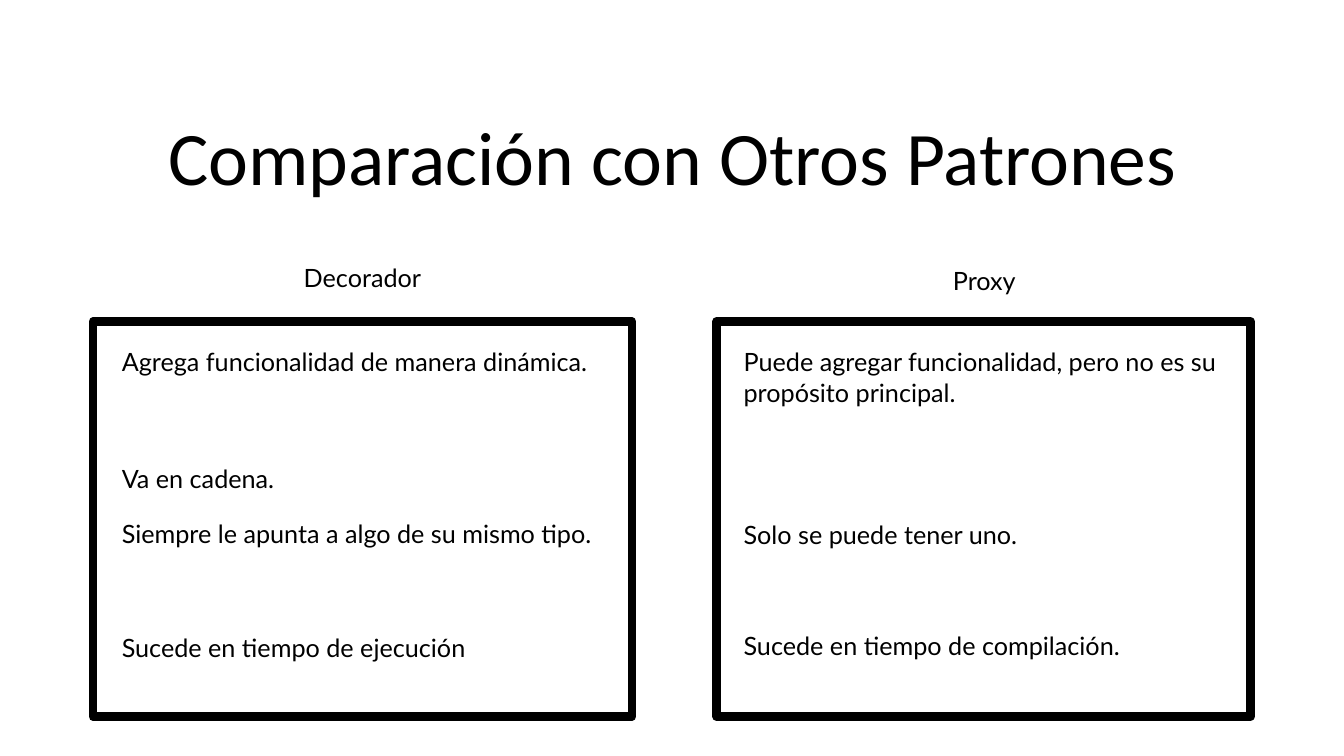
from pptx import Presentation
from pptx.dml.color import RGBColor
from pptx.enum import shapes, text
from pptx.util import Cm, Pt

COLORS = {"ink": "000000", "paper": "FFFFFF"}
FRAME_TOP, FRAME_HEIGHT = 8.1, 9.96
HEADING_WIDTH, HEADING_HEIGHT = 6.43, 1.02
POINT_WIDTH = 12.62

PATTERNS = [
    {
        "heading": ("Decorador", 5.92, 6.48),
        "frame": (2.34, 13.59),
        "points_left": 2.82,
        "points": [
            ("Agrega funcionalidad de manera dinámica.", 8.61, 2.57),
            ("Va en cadena.", 11.56, 1.02),
            ("Siempre le apunta a algo de su mismo tipo.", 12.93, 2.57),
            ("Sucede en tiempo de ejecución", 15.82, 1.8),
        ],
    },
    {
        "heading": ("Proxy", 21.59, 6.55),
        "frame": (18.06, 13.46),
        "points_left": 18.49,
        "points": [
            ("Puede agregar funcionalidad, pero no es su propósito principal.", 8.61, 3.33),
            ("Solo se puede tener uno.", 12.95, 1.8),
            ("Sucede en tiempo de compilación.", 15.75, 1.8),
        ],
    },
]


def color(key):
    return RGBColor.from_string(COLORS[key])


def add_text(slide, wording, left, top, width, height, size=18, font="Lato",
             align=text.PP_ALIGN.LEFT, anchor=text.MSO_ANCHOR.TOP, spacing=1.0):
    label = slide.shapes.add_textbox(Cm(left), Cm(top), Cm(width), Cm(height))
    frame = label.text_frame
    frame.word_wrap = True
    frame.vertical_anchor = anchor
    frame.text = wording
    paragraph = frame.paragraphs[0]
    paragraph.alignment = align
    paragraph.line_spacing = spacing
    run_font = paragraph.runs[0].font
    run_font.size = Pt(size)
    run_font.name = font
    run_font.color.rgb = color("ink")


def add_frame(slide, left, width):
    border = slide.shapes.add_shape(
        shapes.MSO_SHAPE.RECTANGLE, Cm(left), Cm(FRAME_TOP), Cm(width), Cm(FRAME_HEIGHT))
    border.shadow.inherit = False
    border.fill.background()
    border.line.color.rgb = color("ink")
    border.line.width = Pt(6)


def add_pattern(slide, pattern):
    add_frame(slide, *pattern["frame"])
    add_text(slide, *pattern["heading"], HEADING_WIDTH, HEADING_HEIGHT,
             align=text.PP_ALIGN.CENTER)
    for wording, top, height in pattern["points"]:
        add_text(slide, wording, pattern["points_left"], top, POINT_WIDTH, height)


def main():
    """Build the slide comparing the Decorator and Proxy patterns."""
    deck = Presentation()
    deck.slide_width, deck.slide_height = Cm(33.87), Cm(19.05)
    slide = deck.slides.add_slide(deck.slide_layouts[6])
    slide.background.fill.solid()
    slide.background.fill.fore_color.rgb = color("paper")
    add_text(slide, "Comparación con Otros Patrones", 2.34, 2.21, 29.21, 3.68,
             size=54, font="Calibri", align=text.PP_ALIGN.CENTER,
             anchor=text.MSO_ANCHOR.MIDDLE, spacing=0.9)
    for pattern in PATTERNS:
        add_pattern(slide, pattern)
    deck.save("out.pptx")


if __name__ == "__main__":
    main()
